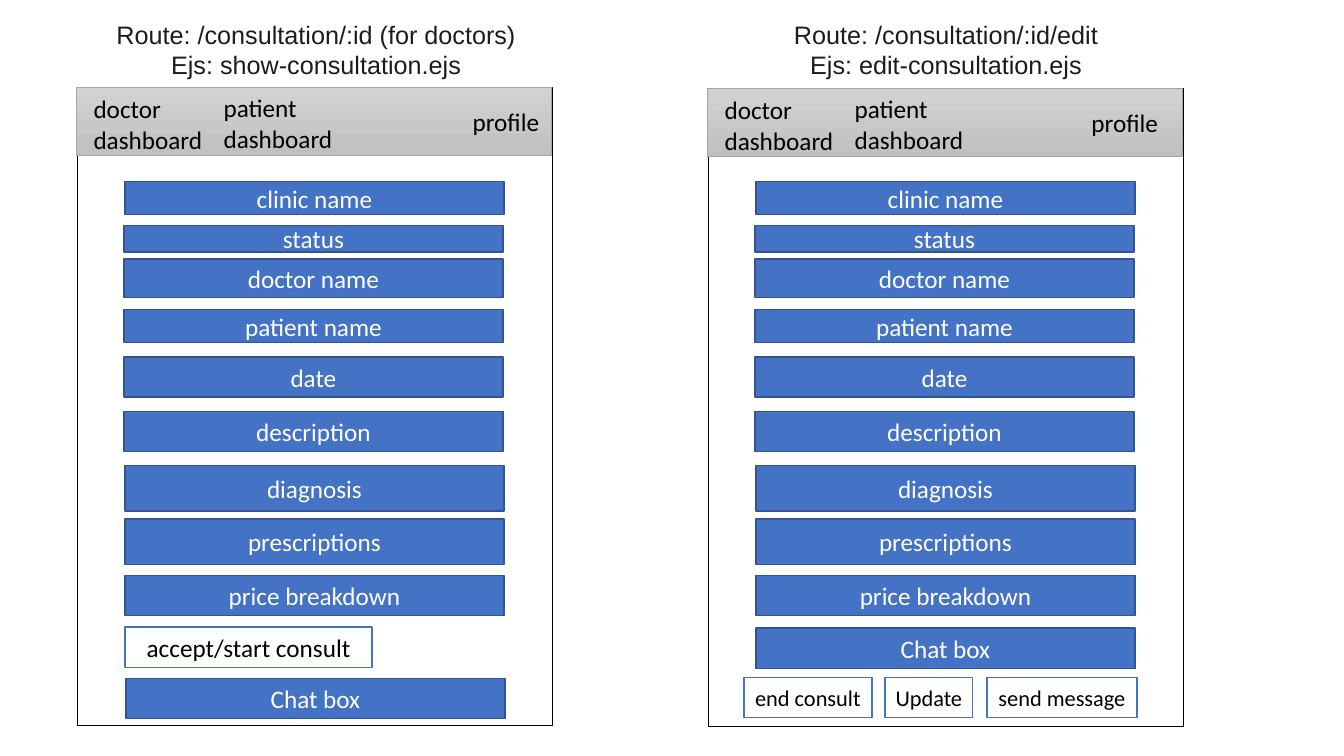
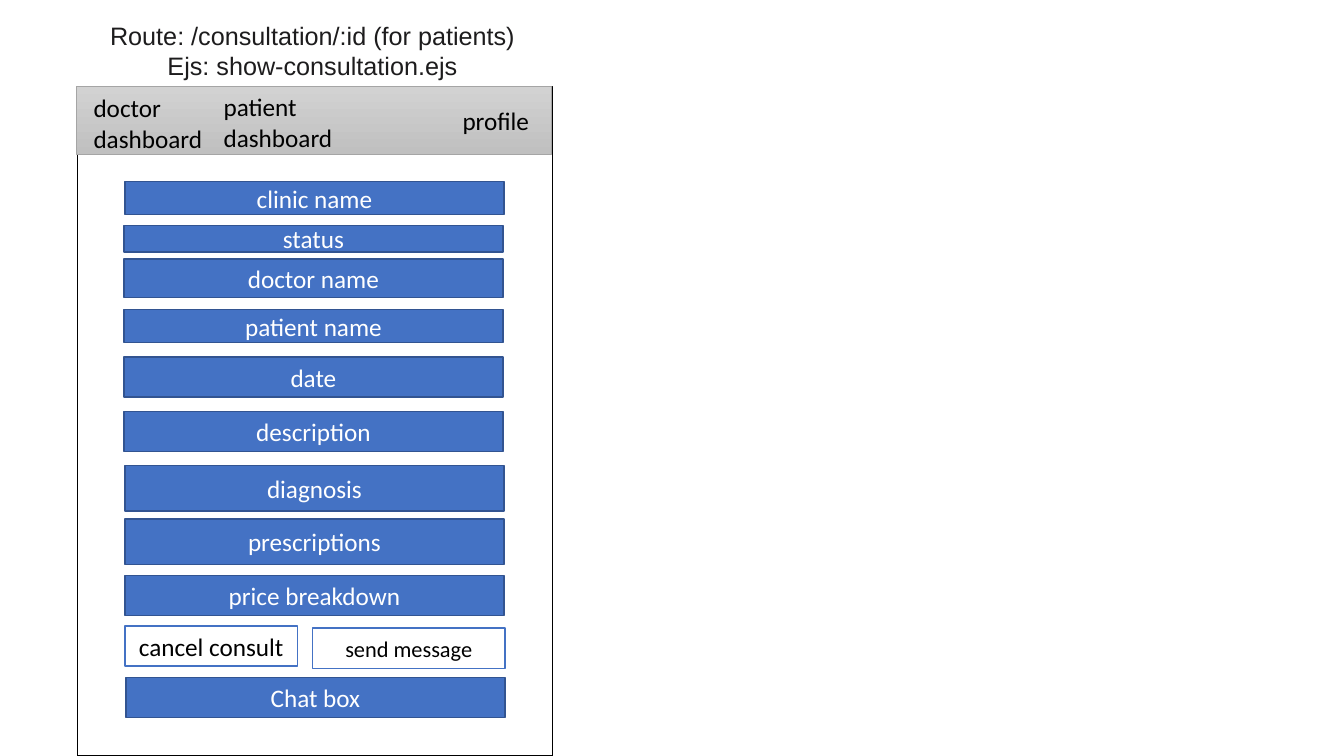
from dataclasses import dataclass
from typing import NamedTuple

from pptx import Presentation
from pptx.dml.color import RGBColor
from pptx.enum.shapes import MSO_SHAPE
from pptx.enum.text import MSO_ANCHOR, MSO_AUTO_SIZE, PP_ALIGN
from pptx.util import Inches, Pt

BLACK = RGBColor(0x00, 0x00, 0x00)
WHITE = RGBColor(0xFF, 0xFF, 0xFF)
HEADING = RGBColor(0x1D, 0x1C, 0x1D)
BLUE = RGBColor(0x44, 0x72, 0xC4)
DARK_BLUE = RGBColor(0x32, 0x54, 0x91)
NAV_EDGE = RGBColor(0xA5, 0xA5, 0xA5)
NAV_SHADES = (RGBColor(0xD2, 0xD2, 0xD2), RGBColor(0xC0, 0xC0, 0xC0))

# The grid has ten columns and ten rows to the inch; lengths below count cells.
CELL = Inches(0.1)
SLIDE_COLS, SLIDE_ROWS = 133.33, 75
SCREEN_COLS = 47.1
NAV_ROWS = 6.7
LINK_COLS, LINK_ROWS = 13.7, 7.1
PROFILE_ROWS = 4
FIELD_COLS = 37.6
BUTTON_ROWS = 4


class Box(NamedTuple):
    """A rectangle in grid cells."""
    col: float
    row: float
    cols: float
    rows: float

    def emu(self) -> tuple:
        """Return left, top, width and height as slide lengths."""
        return tuple(round(cells * CELL) for cells in self)


class Field(NamedTuple):
    """A blue bar; inset counts from the left edge of its screen."""
    label: str
    row: float
    rows: float = 4
    inset: float = 4.7


class Button(NamedTuple):
    """A white button; inset counts from the left edge of its screen."""
    label: str
    inset: float
    row: float
    cols: float
    size: int = 16


@dataclass(frozen=True)
class Screen:
    """One page mock-up with its heading."""
    route: str
    template: str
    heading: Box
    left: float
    top: float
    rows: float
    profile_cols: float
    chat: Field
    buttons: tuple


FIELDS = (
    Field("clinic name", 18, 3.3),
    Field("status", 22.4, 2.6, 4.6),
    Field("doctor name", 25.7, 3.8, 4.6),
    Field("patient name", 30.7, 3.3, 4.6),
    Field("date", 35.4, inset=4.6),
    Field("description", 40.8, inset=4.6),
    Field("diagnosis", 46.2, 4.5),
    Field("prescriptions", 51.5, 4.5),
    Field("price breakdown", 57.1),
)

DOCTOR_VIEW = Screen(
    "Route: /consultation/:id (for doctors)", "Ejs: show-consultation.ejs",
    Box(7.9, 1.4, 46.9, 7.1), 7.7, 8.7, 63.3, 8.8,
    Field("Chat box", 67.3, inset=4.8),
    (Button("accept/start consult", 4.7, 62.2, 24.5, 18),))

EDIT_VIEW = Screen(
    "Route: /consultation/:id/edit", "Ejs: edit-consultation.ejs",
    Box(73.2, 1.4, 41.3, 7.1), 70.3, 8.8, 63.3, 10,
    Field("Chat box", 62.3),
    (Button("end consult", 3.5, 67.2, 12.7),
     Button("Update", 17.5, 67.2, 8.7),
     Button("send message", 27.6, 67.2, 14.9)))

PATIENT_VIEW = Screen(
    "Route: /consultation/:id (for patients)", "Ejs: show-consultation.ejs",
    Box(8.3, 1.5, 45.4, 7.1), 7.7, 8.6, 66.4, 9.8,
    Field("Chat box", 67.2, inset=4.8),
    (Button("cancel consult", 4.7, 62.1, 17.1, 18),
     Button("send message", 23.3, 62.3, 19.1)))

SLIDES = ((DOCTOR_VIEW, EDIT_VIEW), (PATIENT_VIEW,))


def add_run(paragraph, text: str, color: RGBColor, size: int = 18,
            font: str = "Calibri") -> None:
    """Append one styled run to a paragraph."""
    run = paragraph.add_run()
    run.text = text
    run.font.name = font
    run.font.size = Pt(size)
    run.font.color.rgb = color


def add_rect(shapes, box: Box, edge: RGBColor, weight: float = 1):
    """Draw an outlined rectangle without fill or shadow."""
    rect = shapes.add_shape(MSO_SHAPE.RECTANGLE, *box.emu())
    rect.shadow.inherit = False
    rect.fill.background()
    rect.line.color.rgb = edge
    rect.line.width = Pt(weight)
    return rect


def add_label_bar(shapes, box: Box, label: str, fill: RGBColor,
                  edge: RGBColor, ink: RGBColor, size: int = 18) -> None:
    """Draw a filled bar with a centred label."""
    bar = add_rect(shapes, box, edge)
    bar.fill.solid()
    bar.fill.fore_color.rgb = fill
    bar.text_frame.vertical_anchor = MSO_ANCHOR.MIDDLE
    paragraph = bar.text_frame.paragraphs[0]
    paragraph.alignment = PP_ALIGN.CENTER
    add_run(paragraph, label, ink, size)


def add_text_frame(shapes, box: Box):
    """Add a wrapping text box and return its text frame."""
    frame = shapes.add_textbox(*box.emu()).text_frame
    frame.word_wrap = True
    frame.auto_size = MSO_AUTO_SIZE.SHAPE_TO_FIT_TEXT
    return frame


def add_link(shapes, box: Box, *lines: str) -> None:
    """Add a navigation link, breaking between its lines."""
    paragraph = add_text_frame(shapes, box).paragraphs[0]
    for index, line in enumerate(lines):
        if index:
            paragraph.add_line_break()
        add_run(paragraph, line, BLACK)


def add_heading(shapes, screen: Screen) -> None:
    """Write the route and template above a screen."""
    frame = add_text_frame(shapes, screen.heading)
    route, template = frame.paragraphs[0], frame.add_paragraph()
    for paragraph, text in ((route, screen.route), (template, screen.template)):
        paragraph.alignment = PP_ALIGN.CENTER
        add_run(paragraph, text, HEADING, font="Arial")


def add_nav(shapes, screen: Screen) -> None:
    """Draw the grey navigation band and its three links as a group."""
    group = shapes.add_group_shape().shapes
    left, top = screen.left - 0.1, screen.top
    band = add_rect(group, Box(left, top, SCREEN_COLS, NAV_ROWS), NAV_EDGE, 0.5)
    band.fill.gradient()
    band.fill.gradient_angle = 270
    for stop, shade in zip(band.fill.gradient_stops, NAV_SHADES):
        stop.color.rgb = shade
    profile_left = left + SCREEN_COLS - screen.profile_cols
    add_link(group, Box(profile_left, top + 1.4, screen.profile_cols,
                        PROFILE_ROWS), "profile")
    add_link(group, Box(left + 0.7, top + 0.1, LINK_COLS, LINK_ROWS),
             "doctor", "dashboard")
    add_link(group, Box(left + 13.6, top, LINK_COLS, LINK_ROWS),
             "patient", "dashboard")


def add_screen(shapes, screen: Screen) -> None:
    """Draw a whole mock-up: heading, frame, navigation, fields, buttons."""
    add_heading(shapes, screen)
    add_rect(shapes, Box(screen.left, screen.top, SCREEN_COLS, screen.rows), BLACK)
    add_nav(shapes, screen)
    for field in (*FIELDS, screen.chat):
        add_label_bar(shapes, Box(screen.left + field.inset, field.row,
                                  FIELD_COLS, field.rows),
                      field.label, BLUE, DARK_BLUE, WHITE)
    for button in screen.buttons:
        add_label_bar(shapes, Box(screen.left + button.inset, button.row,
                                  button.cols, BUTTON_ROWS),
                      button.label, WHITE, BLUE, BLACK, button.size)


def main() -> None:
    """Build and save the presentation."""
    deck = Presentation()
    deck.slide_width = round(SLIDE_COLS * CELL)
    deck.slide_height = SLIDE_ROWS * CELL
    blank = deck.slide_layouts[6]
    for screens in SLIDES:
        slide = deck.slides.add_slide(blank)
        for screen in screens:
            add_screen(slide.shapes, screen)
    deck.save("out.pptx")


main()
